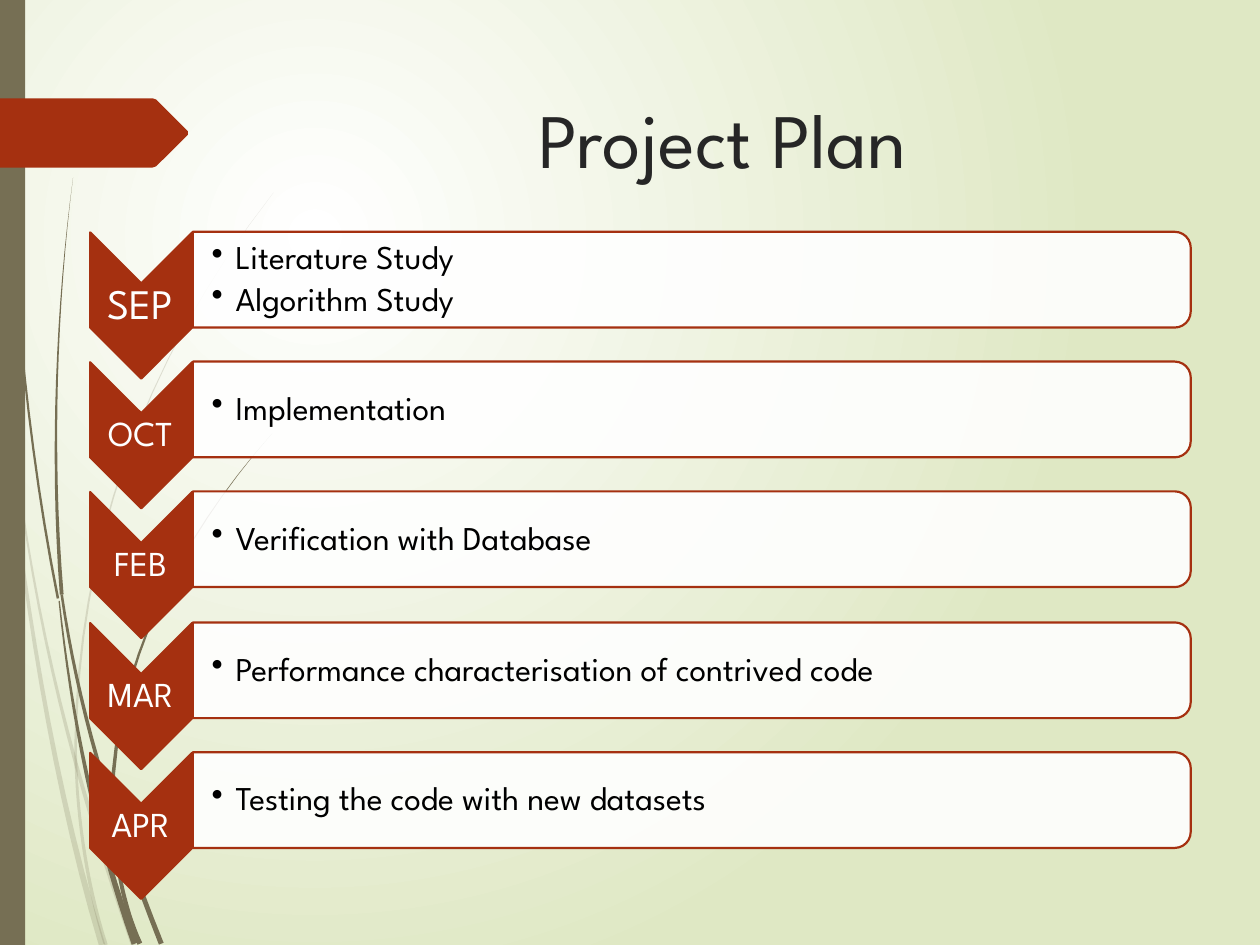
import pptx
import pptx.util
import pptx.dml.color
import pptx.enum.shapes
import pptx.enum.text
import pptx.oxml.ns
import math
from lxml import etree

PX = 9144  # EMU per px, 100 px to the inch
FONT = "League Spartan"
RED, OLIVE, WHITE = "A53010", "766F54", "FFFFFF"
CURVE_STEPS = 16

TITLE = "Project Plan"
PLAN = [
    ("SEP", 24, ["Literature Study", "Algorithm Study"]),
    ("OCT", 20, ["Implementation"]),
    ("FEB", 20, ["Verification with Database"]),
    ("MAR", 20, ["Performance characterisation of contrived code"]),
    ("APR", 20, ["Testing the code with new datasets"]),
]

# Grass blades: four Bezier points of the spine, width at the tip and at the root
FAINT_BLADES = [
    ((0, 290), (12, 420), (35, 600), (81, 750), 1, 5),
    ((10, 345), (28, 500), (60, 620), (106, 750), 1, 4),
    ((217, 153), (110, 290), (62, 440), (60, 590), 0, 2),
    ((60, 590), (60, 640), (68, 700), (84, 750), 2, 3),
]
SOLID_BLADES = [
    ((3, 0), (5, 150), (15, 320), (46, 475), 1, 2),
    ((58, 141), (45, 240), (40, 360), (49, 472), 0, 3),
    ((49, 472), (62, 560), (85, 640), (128, 749), 2, 4),
    ((47, 477), (57, 570), (75, 660), (107, 749), 1, 5),
    ((216, 344), (140, 430), (92, 530), (89, 632), 0, 3),
    ((89, 632), (90, 680), (98, 720), (111, 749), 2, 4),
]
FLAG = [(0, 78), (121, 78), (124, 79), (149, 104), (149, 107), (124, 132), (121, 133), (0, 133)]

SHAPE = pptx.enum.shapes.MSO_SHAPE
ALIGN = pptx.enum.text.PP_ALIGN
ANCHOR = pptx.enum.text.MSO_ANCHOR
qn = pptx.oxml.ns.qn


def color(hex_value):
    return pptx.dml.color.RGBColor.from_string(hex_value)


def paint(shape, fill, opacity=100, line=None):
    shape.shadow.inherit = False
    shape.fill.solid()
    shape.fill.fore_color.rgb = color(fill)
    if opacity < 100:
        rgb = shape.element.spPr.find(qn("a:solidFill"))[0]
        etree.SubElement(rgb, qn("a:alpha"), val=str(opacity * 1000))
    if line:
        shape.line.color.rgb = color(line)
        shape.line.width = pptx.util.Pt(1.25)
    else:
        shape.line.fill.background()


def add_preset(kind, box, rotation=0, **look):
    shape = slide.shapes.add_shape(kind, *(v * PX for v in box))
    shape.rotation = rotation
    paint(shape, **look)


def add_outline(points, **look):
    start, *rest = [(round(x * PX), round(y * PX)) for x, y in points]
    builder = slide.shapes.build_freeform(*start, scale=1.0)
    builder.add_line_segments(rest, close=True)
    paint(builder.convert_to_shape(), **look)


def blade_outline(*spine, tip, root):
    """Both edges of a tapered stroke along a cubic Bezier spine."""
    left, right = [], []
    for step in range(CURVE_STEPS + 1):
        t = step / CURVE_STEPS
        s = 1 - t
        place = (s ** 3, 3 * s * s * t, 3 * s * t * t, t ** 3)
        slope = (-s * s, s * s - 2 * s * t, 2 * s * t - t * t, t * t)
        x, y, dx, dy = (sum(w * knot[axis] for w, knot in zip(weights, spine))
                        for weights in (place, slope) for axis in (0, 1))
        reach = (tip * s + root * t) / 2 / math.hypot(dx, dy)
        left.append((x - dy * reach, y + dx * reach))
        right.append((x + dy * reach, y - dx * reach))
    return left + right[::-1]


def add_text(box, lines, size, ink, insets, anchor=ANCHOR.MIDDLE, bullet=False, **paragraph_format):
    frame = slide.shapes.add_textbox(*(v * PX for v in box)).text_frame
    sides = ("margin_left", "margin_top", "margin_right", "margin_bottom")
    settings = dict(zip(sides, (v * PX for v in insets)), word_wrap=True, vertical_anchor=anchor)
    for name, value in settings.items():
        setattr(frame, name, value)
    for i, line in enumerate(lines):
        paragraph = frame.add_paragraph() if i else frame.paragraphs[0]
        for name, value in paragraph_format.items():
            setattr(paragraph, name, value)
        run = paragraph.add_run()
        run.text = line
        for name, value in {"size": pptx.util.Pt(size), "name": FONT}.items():
            setattr(run.font, name, value)
        run.font.color.rgb = color(ink)
        if bullet:
            props = paragraph._p.get_or_add_pPr()
            props.set("marL", str(19 * PX))
            props.set("indent", str(-19 * PX))
            etree.SubElement(props, qn("a:buChar"), char="•")


deck = pptx.Presentation()
deck.slide_width, deck.slide_height = 1000 * PX, 750 * PX
slide = deck.slides.add_slide(deck.slide_layouts[6])

# Background: radial gradient centred in the upper left
glow = slide.background.fill
glow.gradient()
for stop, (position, shade) in zip(glow.gradient_stops, [(0, WHITE), (1, "DFE8C4")]):
    stop.position = position
    stop.color.rgb = color(shade)
linear = next(slide.element.iter(qn("a:lin")))
radial = etree.Element(qn("a:path"), path="circle")
etree.SubElement(radial, qn("a:fillToRect"), l="50000", t="50000", r="100000", b="100000")
linear.getparent().replace(linear, radial)

# Grass, side bar and flag
for blades, opacity in ((FAINT_BLADES, 20), (SOLID_BLADES, 100)):
    for *spine, tip, root in blades:
        add_outline(blade_outline(*spine, tip=tip, root=root), fill=OLIVE, opacity=opacity)
add_preset(SHAPE.RECTANGLE, (0, 0, 20, 750), fill=OLIVE)
add_outline(FLAG, fill=RED)

add_text((213, 68, 721, 140), [TITLE], 44, "262626", (10, 5, 10, 5), ANCHOR.TOP,
         alignment=ALIGN.CENTER)

# Plan rows: month chevron and task panel, both turned a quarter
for row, (month, month_size, tasks) in enumerate(PLAN):
    drop = round(row * 413 / 4)
    add_preset(SHAPE.CHEVRON, (54, 202 + drop, 116, 81), 90, fill=RED, line=RED)
    add_text((71, 225 + drop, 81, 35), [month], month_size, WHITE, (1, 1, 1, 1),
             alignment=ALIGN.CENTER, line_spacing=0.9)
    add_preset(SHAPE.ROUND_2_SAME_RECTANGLE, (511, drop - 174, 76, 792), 90,
               fill=WHITE, opacity=90, line=RED)
    add_text((153, 188 + drop, 788, 68), tasks, 19, "000000", (15, 1, 1, 1), bullet=True,
             level=1, line_spacing=0.9, space_after=pptx.util.Pt(3))

deck.save("out.pptx")
